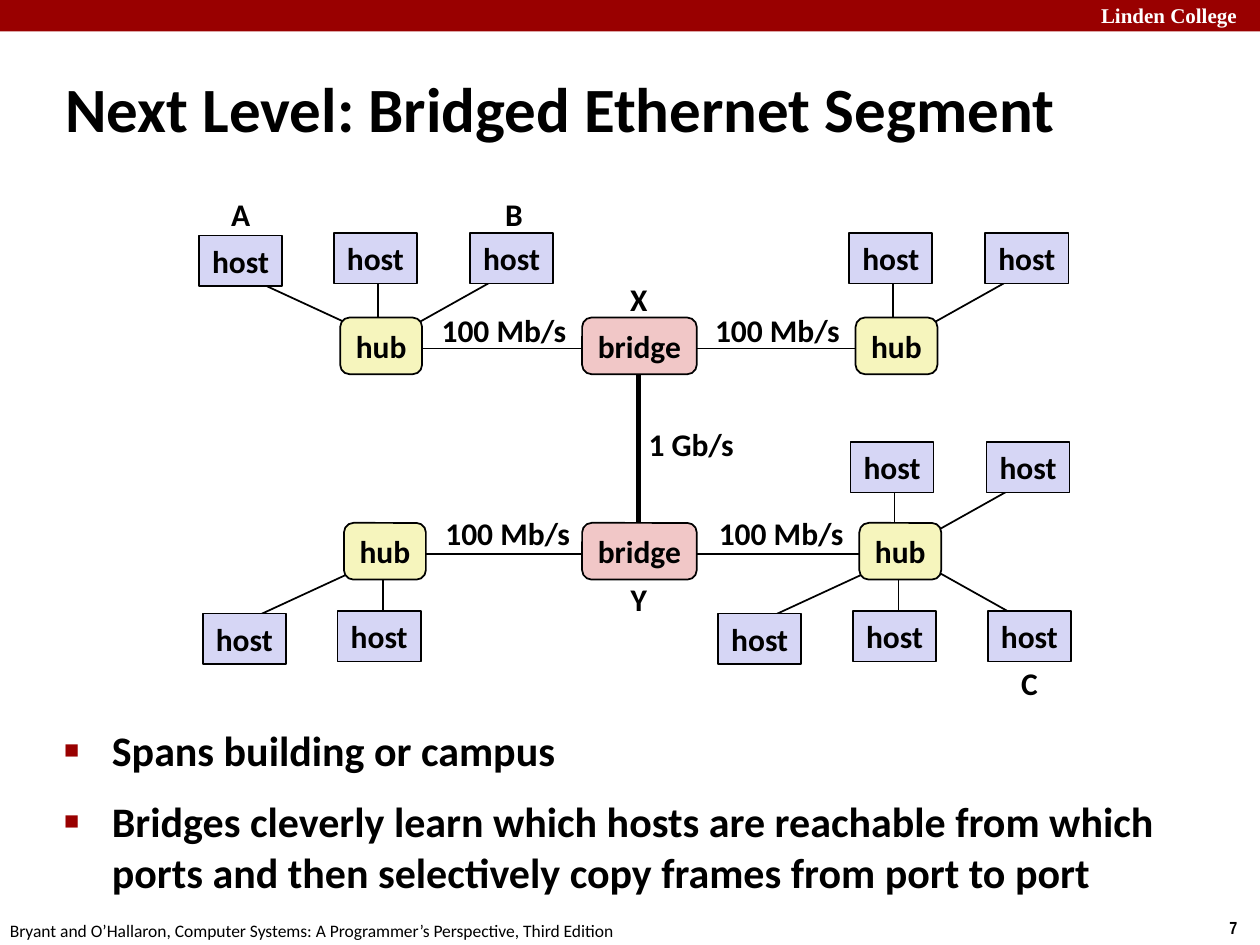
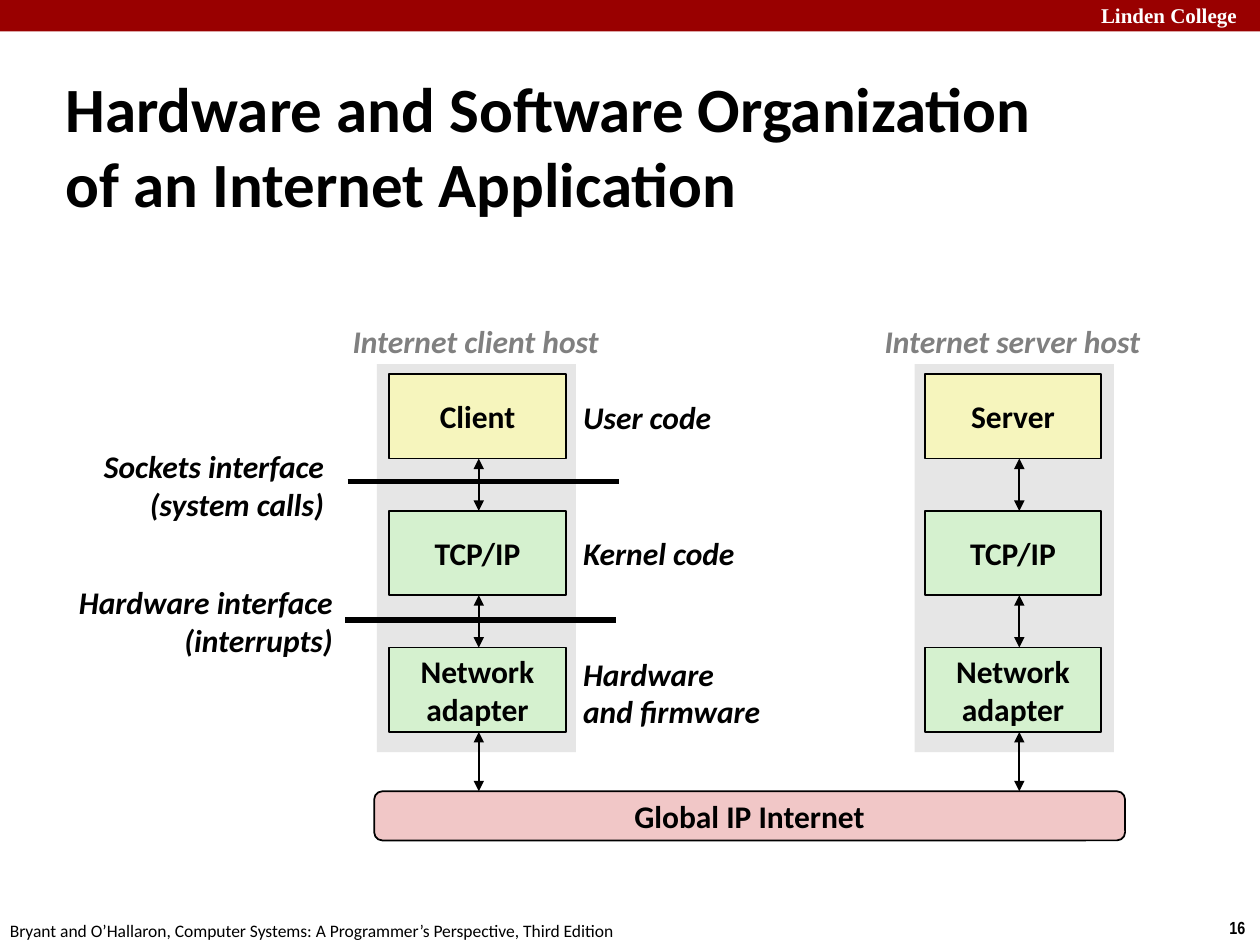
import lxml.etree
import pptx
import pptx.dml.color
import pptx.enum.shapes
import pptx.enum.text
import pptx.oxml.ns
import pptx.util

RGBColor = pptx.dml.color.RGBColor
BLACK = RGBColor(0x00, 0x00, 0x00)
WHITE = RGBColor(0xFF, 0xFF, 0xFF)
CRIMSON = RGBColor(0x99, 0x00, 0x00)
GRAY = RGBColor(0x80, 0x80, 0x80)
PANEL = RGBColor(0xE6, 0xE6, 0xE6)
LAVENDER = RGBColor(0xD6, 0xD6, 0xF5)
YELLOW = RGBColor(0xF6, 0xF5, 0xBD)
PINK = RGBColor(0xF1, 0xC7, 0xC7)
GREEN = RGBColor(0xD5, 0xF1, 0xCF)

COLUMNS, ROWS = 100, 75
WIDTH, HEIGHT = pptx.util.Inches(10), pptx.util.Inches(7.5)
TITLE_ONLY = 5
SHAPE = pptx.enum.shapes.MSO_SHAPE
ANCHOR = pptx.enum.text.MSO_ANCHOR
LEFT, CENTER, RIGHT = (pptx.enum.text.PP_ALIGN.LEFT, pptx.enum.text.PP_ALIGN.CENTER,
                       pptx.enum.text.PP_ALIGN.RIGHT)


def add_xml(parent, tag, **attributes):
    return lxml.etree.SubElement(parent, pptx.oxml.ns.qn(tag), **attributes)


def write_text(frame, text, size=18, font="Calibri", color=BLACK, bold=True, italic=False,
               align=LEFT, anchor=ANCHOR.MIDDLE, wrap=False):
    frame.text = text
    frame.word_wrap = wrap
    frame.auto_size = pptx.enum.text.MSO_AUTO_SIZE.NONE
    frame.vertical_anchor = anchor
    for paragraph in frame.paragraphs:
        paragraph.alignment = align
        for run in paragraph.runs:
            run.font.size = pptx.util.Pt(size)
            run.font.name = font
            run.font.color.rgb = color
            run.font.bold = bold
            run.font.italic = italic


class Deck:
    """Holds the lecture style and the slide being drawn on a 100 by 75 grid."""

    def __init__(self):
        self.presentation = pptx.Presentation()
        self.presentation.slide_width = WIDTH
        self.presentation.slide_height = HEIGHT
        self.slide = None

    def place(self, *lengths):
        units = (WIDTH / COLUMNS, HEIGHT / ROWS) * 2
        return [round(length * unit) for length, unit in zip(lengths, units)]

    def start_slide(self, title, number, area):
        layout = self.presentation.slide_layouts[TITLE_ONLY]
        self.slide = self.presentation.slides.add_slide(layout)
        heading = self.slide.shapes.title
        heading.left, heading.top, heading.width, heading.height = self.place(*area)
        write_text(heading.text_frame, title, size=36, wrap=True)
        self.box((0, 0, COLUMNS, 2.5), CRIMSON, outline=False)
        self.text((86.4, -0.3, 13.6, 3), "Linden College", size=12, font="Times New Roman",
                  color=WHITE, anchor=ANCHOR.TOP)
        self.text((96.6, 72.3, 3.4, 2.7), number, size=10, font="Arial Narrow",
                  anchor=ANCHOR.TOP)
        self.text((-0.2, 72.5, 50.8, 2.5), "Bryant and O’Hallaron, Computer Systems: "
                  "A Programmer’s Perspective, Third Edition", size=10, bold=False,
                  anchor=ANCHOR.TOP)

    def text(self, area, text, **style):
        shape = self.slide.shapes.add_textbox(*self.place(*area))
        write_text(shape.text_frame, text, **style)
        return shape

    def box(self, area, fill, text="", rounded=False, outline=True):
        kind = SHAPE.ROUNDED_RECTANGLE if rounded else SHAPE.RECTANGLE
        shape = self.slide.shapes.add_shape(kind, *self.place(*area))
        shape.shadow.inherit = False
        shape.fill.solid()
        shape.fill.fore_color.rgb = fill
        if outline:
            shape.line.color.rgb = BLACK
            shape.line.width = pptx.util.Pt(1)
        else:
            shape.line.fill.background()
        if text:
            write_text(shape.text_frame, text, align=CENTER)

    def line(self, start, end, width=1, arrows=False):
        connector = self.slide.shapes.add_connector(
            pptx.enum.shapes.MSO_CONNECTOR.STRAIGHT, *self.place(*start, *end))
        connector.line.color.rgb = BLACK
        connector.line.width = pptx.util.Pt(width)
        if arrows:
            outline = connector.line._get_or_add_ln()
            for tag in ("a:headEnd", "a:tailEnd"):
                add_xml(outline, tag, type="triangle")
        add_xml(connector._element.spPr, "a:effectLst")

    def bullets(self, area, items):
        shape = self.text(area, "\n".join(items), size=24, anchor=ANCHOR.TOP, wrap=True)
        indent = pptx.util.Inches(0.38)
        for paragraph in shape.text_frame.paragraphs:
            paragraph.space_before = pptx.util.Pt(12)
            properties = paragraph._p.get_or_add_pPr()
            properties.set("marL", str(indent))
            properties.set("indent", str(-indent))
            add_xml(add_xml(properties, "a:buClr"), "a:srgbClr", val=str(CRIMSON))
            add_xml(properties, "a:buSzPct", val="60000")
            add_xml(properties, "a:buFont", typeface="Arial")
            add_xml(properties, "a:buChar", char="■")
        first = shape.text_frame.paragraphs[0]
        first.space_before = pptx.util.Pt(4.8)
        first.line_spacing = 0.85

    def spokes(self, hub, spokes):
        column, row = hub
        for host_column, host_row, start, end in spokes:
            self.line((column + start[0], row + start[1]), (column + end[0], row + end[1]))
            self.box((column + host_column, row + host_row, 6.6, 4), LAVENDER, "host")

    def bridged_row(self, left, top, label_top):
        for hub, trunk, label in ((left, left + 6, left + 7),
                                  (left + 40.9, left + 27.7, left + 28.7)):
            self.line((trunk, top + 2.45), (trunk + 14.2, top + 2.45))
            self.box((hub, top, 6.5, 4.5), YELLOW, "hub", rounded=True)
            self.text((label, label_top, 12, 4), "100 Mb/s", align=CENTER)
        self.box((46.2, top, 9.1, 4.5), PINK, "bridge", rounded=True)

    def host_stack(self, panel, stack, arrow, application):
        self.box((panel, 28.9, 15.8, 30.8), PANEL, outline=False)
        layers = ((application, YELLOW), ("TCP/IP", GREEN), ("Network\nadapter", GREEN))
        for top, (name, fill) in zip(LAYER_TOPS, layers):
            self.box((stack, top, 14, LAYER_HEIGHT), fill, name)
        for top, bottom in zip(LAYER_TOPS, LAYER_TOPS[1:] + [INTERNET_TOP]):
            self.line((arrow, top + LAYER_HEIGHT), (arrow, bottom), arrows=True)


ABOVE = [(-11.2, -6.5, (-7.8, -3.4), (1.3, 0.8)),
         (-0.5, -6.7, (3, -3.4), (3, 0)),
         (10.3, -6.7, (13, -3.4), (5.5, 0.8))]
BELOW = [(-11.2, 7.2, (1.3, 3.6), (-7.8, 7.8)),
         (-0.5, 7, (3.1, 3.6), (3.1, 7)),
         (10.2, 7, (5.7, 3.6), (13.2, 7.8))]
LAYER_HEIGHT = 6.7
LAYER_TOPS = [29.7 + 10.85 * layer for layer in range(3)]
INTERNET_TOP = 62.8


def draw_bridged_segment(deck):
    deck.start_slide("Next Level: Bridged Ethernet Segment", "7", (4.2, 5.4, 89.9, 6.3))
    deck.line((50.7, 29.6), (50.7, 41.6), width=3)
    for hub, spokes in (((27, 25.2), ABOVE), ((67.9, 25.2), ABOVE[1:]),
                        ((27.3, 41.5), BELOW[:2]), ((68.2, 41.5), BELOW),
                        ((68, 41.8), ABOVE[1:])):
        deck.spokes(hub, spokes)
    deck.bridged_row(27, 25.2, 24.2)
    deck.bridged_row(27.3, 41.5, 40.3)
    deck.text((50.4, 33.2, 8.9, 4), "1 Gb/s", align=CENTER)
    for name, left, top in (("A", 17.4, 15), ("B", 39.1, 15), ("C", 80, 52.2),
                            ("X", 49, 21.7), ("Y", 49, 45.5)):
        deck.text((left, top, 3.4, 4), name, align=CENTER)
    deck.bullets((4.1, 57.6, 90.9, 14), [
        "Spans building or campus",
        "Bridges cleverly learn which hosts are reachable from which ports "
        "and then selectively copy frames from port to port"])


def draw_internet_application(deck):
    deck.start_slide("Hardware and Software Organization \vof an Internet Application",
                     "16", (4.2, 5.5, 88.9, 12))
    deck.host_stack(29.9, 30.9, 38, "Client")
    deck.host_stack(72.6, 73.4, 80.9, "Server")
    deck.box((29.7, INTERNET_TOP, 59.6, 3.9), PINK, "Global IP Internet", rounded=True)
    for area, text, color, align in (
            ((26.8, 25.1, 21.9, 4), "Internet client host", GRAY, CENTER),
            ((69, 25.1, 22.7, 4), "Internet server host", GRAY, CENTER),
            ((7, 34.9, 19.7, 7.1), "Sockets interface\n(system calls)", BLACK, RIGHT),
            ((5, 45.7, 22.4, 7.1), "Hardware interface\n(interrupts)", BLACK, RIGHT),
            ((45.3, 31.1, 12.3, 4), "User code", BLACK, LEFT),
            ((45.3, 41.9, 14.2, 4), "Kernel code", BLACK, LEFT),
            ((45.3, 51.4, 16.3, 7.1), "Hardware\nand firmware", BLACK, LEFT)):
        deck.text(area, text, color=color, align=align, italic=True)
    for left, row in ((27.6, 38.2), (27.4, 49.2)):
        deck.line((left, row), (left + 21.5, row), width=3)


lecture = Deck()
draw_bridged_segment(lecture)
draw_internet_application(lecture)
lecture.presentation.save("out.pptx")
